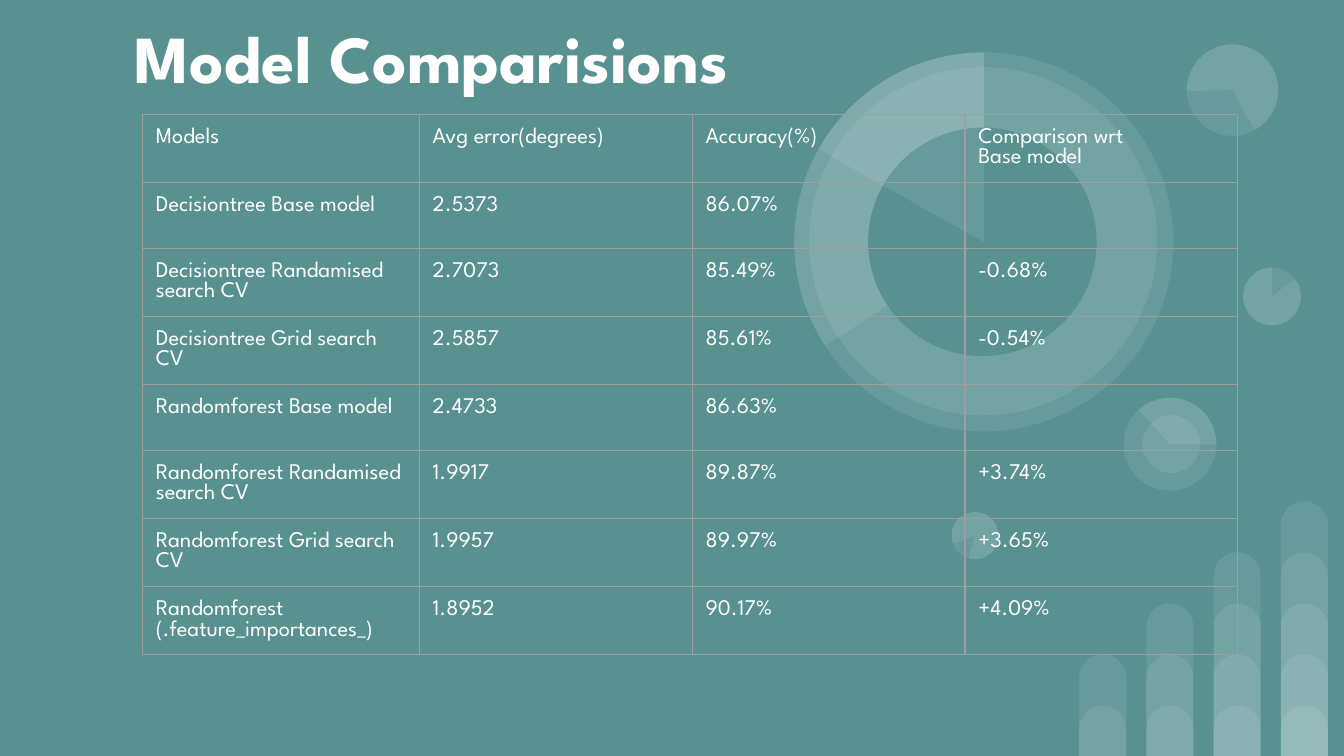
from dataclasses import dataclass

from lxml import etree
from pptx import Presentation
from pptx.dml.color import RGBColor
from pptx.enum.shapes import MSO_SHAPE
from pptx.enum.text import MSO_ANCHOR, MSO_AUTO_SIZE, PP_ALIGN
from pptx.oxml import parse_xml
from pptx.oxml.ns import nsdecls, qn
from pptx.util import Inches, Pt

BAR = MSO_SHAPE.ROUND_2_SAME_RECTANGLE
DISC = MSO_SHAPE.OVAL
PIE = MSO_SHAPE.PIE
LEFT = PP_ALIGN.LEFT
MIDDLE = MSO_ANCHOR.MIDDLE
FIXED = MSO_AUTO_SIZE.NONE

WIDTH = 10
HEIGHT = WIDTH * 9 / 16
TITLE_ONLY = 5


@dataclass(frozen=True)
class Theme:
    font: str = "League Spartan"
    back: str = "599191"
    ink: str = "FFFFFF"
    rule: str = "9E9E9E"
    veil: int = 9  # opacity of the decoration, in percent
    title: int = 36
    body: int = 12
    line: float = 0.75
    inset: float = 0.1


class Deck:
    """Holds the theme and the current slide."""

    def __init__(self, theme):
        self.theme = theme
        self.show = Presentation()
        self.show.slide_width = Inches(WIDTH)
        self.show.slide_height = Inches(HEIGHT)
        self.slide = self.show.slides.add_slide(
            self.show.slide_layouts[TITLE_ONLY])
        self.paint(self.slide.background.fill, theme.back)

    def paint(self, fill, color):
        fill.solid()
        fill.fore_color.rgb = RGBColor.from_string(color)

    def style(self, frame, size, bold=False):
        for para in frame.paragraphs:
            para.alignment = LEFT
            font = para.font
            font.name, font.size, font.bold = self.theme.font, Pt(size), bold
            font.color.rgb = RGBColor.from_string(self.theme.ink)

    def pad(self, box):
        """Give a text frame or table cell the same margin on all sides."""
        box.margin_left = box.margin_right = Inches(self.theme.inset)
        box.margin_top = box.margin_bottom = Inches(self.theme.inset)

    def title(self, text, left, top, width, height):
        shape = self.slide.shapes.title
        # Bring the title in front of the decoration.
        self.slide.shapes._spTree.append(shape._element)
        shape.left, shape.top = Inches(left), Inches(top)
        shape.width, shape.height = Inches(width), Inches(height)
        frame = shape.text_frame
        frame.text = text
        frame.auto_size = FIXED
        frame.vertical_anchor = MIDDLE
        self.pad(frame)
        self.style(frame, self.theme.title, bold=True)

    def shape(self, kind, left, top, width, height, adj=(), turn=0, solid=None):
        """Draw a see-through shape, or an opaque one in the solid colour."""
        item = self.slide.shapes.add_shape(
            kind, Inches(left), Inches(top), Inches(width), Inches(height))
        item.shadow.inherit = False
        item.line.fill.background()
        item.rotation = turn
        for i, value in enumerate(adj):
            item.adjustments[i] = value
        self.paint(item.fill, solid or self.theme.ink)
        if not solid:
            color = item._element.spPr.find(qn("a:solidFill"))[0]
            etree.SubElement(color, qn("a:alpha"),
                             val=str(self.theme.veil * 1000))

    def disc(self, left, top, size, turn=0, solid=None):
        self.shape(DISC, left, top, size, size, turn=turn, solid=solid)

    def pie(self, left, top, size, start, end=270, turn=0):
        """Draw a sector between two angles in degrees."""
        # Angles are stored as 1/60000 degree; adjustments scale by 100000.
        adj = (start * 0.6, end * 0.6)
        self.shape(PIE, left, top, size, size, adj, turn)

    def border(self, cell):
        props = cell._tc.get_or_add_tcPr()
        for i, side in enumerate("LRTB"):
            props.insert(i, parse_xml(
                f'<a:ln{side} {nsdecls("a")} w="{Pt(self.theme.line)}">'
                f'<a:solidFill><a:srgbClr val="{self.theme.rule}"/>'
                f'</a:solidFill></a:ln{side}>'))

    def table(self, rows, left, top, widths, height):
        grid = self.slide.shapes.add_table(
            len(rows), len(widths), Inches(left), Inches(top),
            Inches(sum(widths)), Inches(height * len(rows))).table
        grid.first_row = grid.horz_banding = False
        for col, width in zip(grid.columns, widths):
            col.width = Inches(width)
        for line, texts in zip(grid.rows, rows):
            line.height = Inches(height)
            for cell, text in zip(line.cells, texts):
                cell.text = text
                cell.fill.background()
                self.pad(cell)
                self.style(cell.text_frame, self.theme.body)
                self.border(cell)


ROWS = [
    ("Models", "Avg error(degrees)", "Accuracy(%)",
     "Comparison wrt\nBase model"),
    ("Decisiontree Base model", "2.5373", "86.07%", ""),
    ("Decisiontree Randamised search CV", "2.7073", "85.49%", "-0.68%"),
    ("Decisiontree Grid search CV", "2.5857", "85.61%", "-0.54%"),
    ("Randomforest Base model", "2.4733", "86.63%", ""),
    ("Randomforest Randamised search CV", "1.9917", "89.87%", "+3.74%"),
    ("Randomforest Grid search CV", "1.9957", "89.97%", "+3.65%"),
    ("Randomforest (.feature_importances_)", "1.8952", "90.17%", "+4.09%"),
]


def draw_bars(deck):
    """Each column stacks one more overlapping bar than the one before."""
    for col in range(4):
        for level in range(col + 2):
            top = 5.25 - 0.38 * level
            deck.shape(BAR, 8.03 + 0.5 * col, top, 0.35, HEIGHT - top,
                       adj=(0.5, 0))


def draw_pies(deck):
    # Small pies: left, top, size, start, end, turn
    for left, top, size, start, end, turn in (
            (9.25, 1.99, 0.43, 322.95, 270, 0),
            (7.08, 3.81, 0.35, 322.95, 270, 196.2),
            (8.36, 2.96, 0.69, 137.41, 270.77, 90),
            (8.83, 0.33, 0.68, 322.95, 205.23, 215.9)):
        deck.disc(left, top, size, turn)
        deck.pie(left, top, size, start, end, turn)
    deck.disc(8.5, 3.09, 0.43)


def draw_ring(deck):
    ring = (5.91, 0.39, 2.82)
    deck.disc(*ring)
    deck.disc(6.02, 0.5, 2.59)
    deck.pie(*ring, 146.69)
    deck.disc(6.46, 0.95, 1.7, solid=deck.theme.back)
    deck.pie(*ring, 209.24)


def main():
    deck = Deck(Theme())
    draw_bars(deck)
    draw_pies(deck)
    draw_ring(deck)
    deck.title("Model Comparisions", 0.9, 0.15, 7.33, 0.54)
    deck.table(ROWS, 1.06, 0.85, (2.06, 2.03, 2.03, 2.03), 0.49)
    deck.show.save("out.pptx")


if __name__ == "__main__":
    main()
